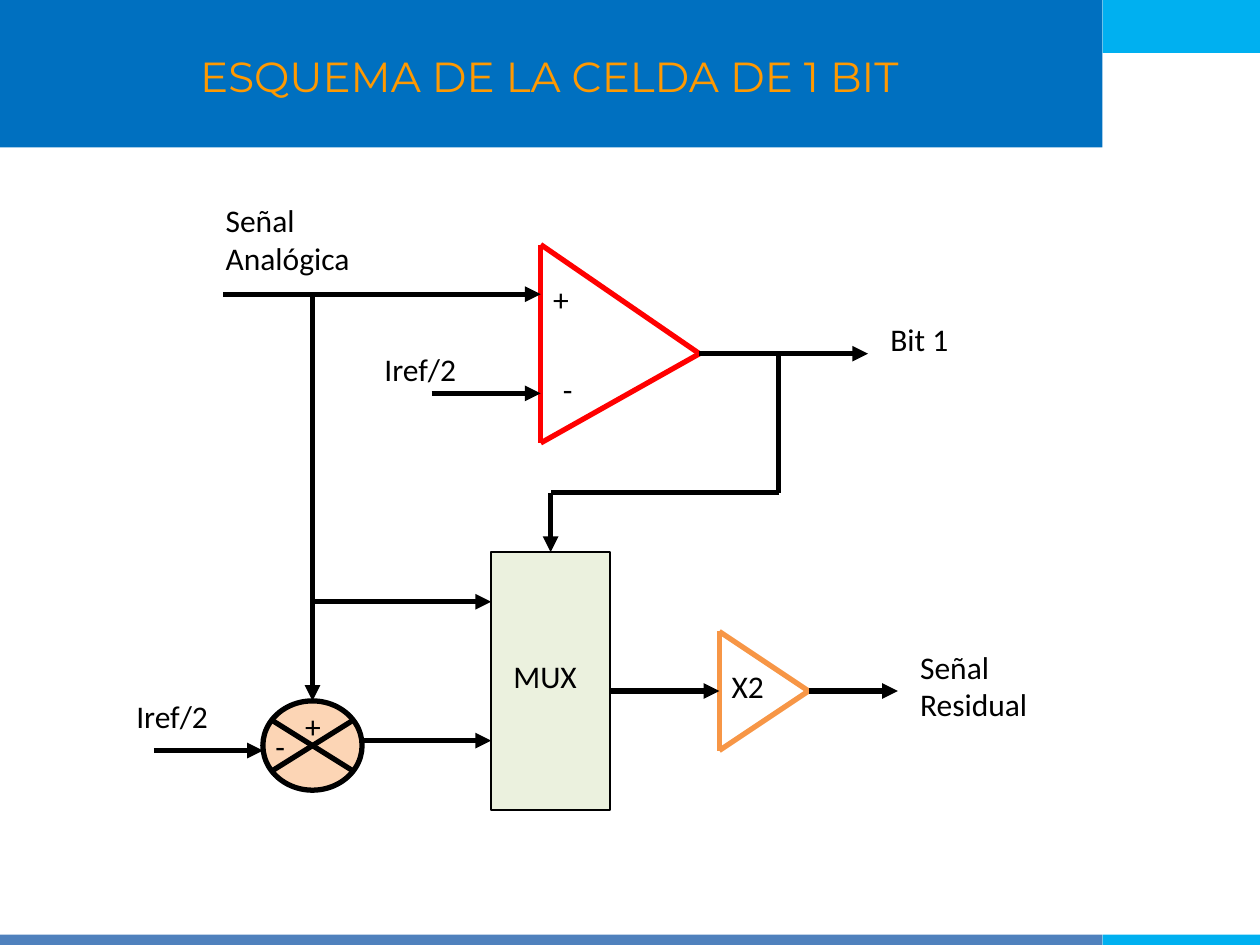
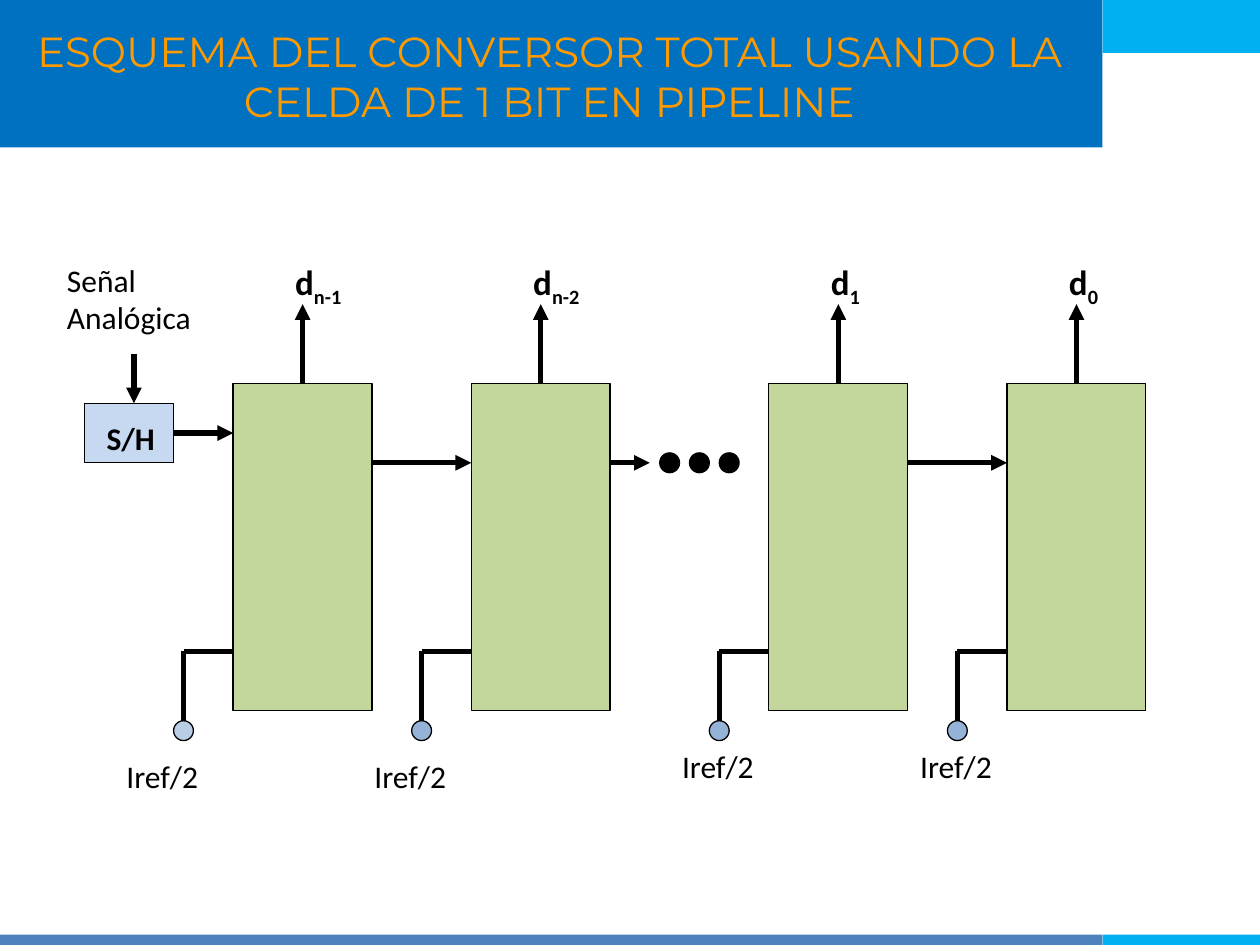
from itertools import pairwise

from lxml.etree import SubElement
from pptx import Presentation
from pptx.dml.color import RGBColor
from pptx.enum.shapes import MSO_CONNECTOR, MSO_SHAPE
from pptx.enum.text import MSO_ANCHOR, MSO_AUTO_SIZE, PP_ALIGN
from pptx.oxml.ns import qn
from pptx.util import Inches, Pt

COLORS = {
    "band": "0070C0",
    "accent": "00B0F0",
    "footer": "4F81BD",
    "title": "FF9900",
    "ink": "000000",
    "comparator": "FF0000",
    "gain": "F79646",
    "adder": "FCD5B5",
    "mux": "EBF1DE",
    "sampler": "C6D9F1",
    "cell": "C3D69B",
    "first_input": "B9CDE5",
    "input": "95B3D7",
}
WIDTH, HEIGHT = Inches(10), Inches(7.5)
UNIT = WIDTH / 127
LEFT_OFFSET, TOP_OFFSET = 0.5, 0.65
BANDS = [
    (0, 0, 0.875, 0.156, "band"),
    (0.875, 0, 0.125, 0.056, "accent"),
    (0, 0.989, 0.875, 0.011, "footer"),
    (0.875, 0.989, 0.125, 0.011, "accent"),
]


def color(name):
    return RGBColor.from_string(COLORS[name])


def share(left, top, width, height):
    return [int(part * side) for part, side in
            zip((left, top, width, height), (WIDTH, HEIGHT) * 2)]


def point(column, row):
    return int((column + LEFT_OFFSET) * UNIT), int((row + TOP_OFFSET) * UNIT)


def area(column, row, columns, rows):
    return *point(column, row), int(columns * UNIT), int(rows * UNIT)


class Diagram:
    def __init__(self, deck, title):
        self.page = deck.slides.add_slide(deck.slide_layouts[6])
        for *place, fill in BANDS:
            self.shape(MSO_SHAPE.RECTANGLE, share(*place), fill, line=0)
        box = self.text(share(0.011, 0.015, 0.85, 0.13), [title],
                        size=24, name="Montserrat", fill="title")
        box.text_frame.auto_size = MSO_AUTO_SIZE.NONE
        box.text_frame.vertical_anchor = MSO_ANCHOR.MIDDLE
        box.text_frame.paragraphs[0].alignment = PP_ALIGN.CENTER

    def shape(self, kind, place, fill, line=0.75):
        shape = self.page.shapes.add_shape(kind, *place)
        shape.shadow.inherit = False
        shape.fill.solid()
        shape.fill.fore_color.rgb = color(fill)
        if line:
            shape.line.color.rgb = color("ink")
            shape.line.width = Pt(line)
        else:
            shape.line.fill.background()

    def block(self, column, row, columns, rows, fill):
        self.shape(MSO_SHAPE.RECTANGLE, area(column, row, columns, rows), fill)

    def circle(self, column, row, columns, rows, fill, line=0.75):
        self.shape(MSO_SHAPE.OVAL, area(column, row, columns, rows), fill, line)

    def text(self, place, words, size=18, name="Calibri", fill="ink", bold=False):
        box = self.page.shapes.add_textbox(*place)
        box.text_frame.word_wrap = True
        box.text_frame.auto_size = MSO_AUTO_SIZE.SHAPE_TO_FIT_TEXT
        para = box.text_frame.paragraphs[0]
        for word in words:
            para.add_run().text = word
        for font in (para.font, *(span.font for span in para.runs)):
            font.size = Pt(size)
            font.name = name
            font.bold = bold
            font.color.rgb = color(fill)
        return box

    def label(self, column, row, words, columns=12, rows=5, bold=False):
        self.text(area(column, row, columns, rows), [words], bold=bold)

    def indexed(self, column, row, letter, index):
        box = self.text(area(column, row, 12, 5.5), [letter, index],
                        size=20, bold=True)
        subscript = box.text_frame.paragraphs[0].runs[1]
        subscript.font._element.set("baseline", "-25000")

    def wire(self, *stops, ink="ink", arrow=False):
        for start, end in pairwise(stops):
            line = self.page.shapes.add_connector(
                MSO_CONNECTOR.STRAIGHT, *point(*start), *point(*end))
            line.line.color.rgb = color(ink)
            line.line.width = Pt(3)
            SubElement(line._element.spPr, qn("a:effectLst"))
        if arrow:
            SubElement(line.line._get_or_add_ln(), qn("a:tailEnd"), type="triangle")

    def arrow(self, *stops):
        self.wire(*stops, arrow=True)

    def triangle(self, column, row, columns, rows, tip_row, ink):
        top, bottom = (column, row), (column, row + rows)
        self.wire(bottom, top, (column + columns, tip_row), bottom, ink=ink)


def draw_cell(deck):
    diagram = Diagram(deck, "ESQUEMA DE LA CELDA DE 1 BIT")

    diagram.triangle(54, 24, 16, 20, 35, "comparator")
    diagram.circle(26, 70, 10, 9, "adder", line=3)
    diagram.wire((27, 72), (35, 77))
    diagram.wire((27, 77), (35, 72))
    diagram.block(49, 55, 12, 26, "mux")
    diagram.triangle(72, 63, 9, 12, 69, "gain")

    for stops in [
        ((22, 29), (54, 29)),
        ((43, 39), (54, 39)),
        ((31, 29), (31, 70)),
        ((31, 60), (49, 60)),
        ((15, 75), (26, 75)),
        ((36, 74), (49, 74)),
        ((61, 69), (72, 69)),
        ((81, 69), (90, 69)),
        ((70, 35), (87, 35)),
        ((78, 35), (78, 49), (55, 49), (55, 55)),
    ]:
        diagram.arrow(*stops)

    for column, row, words, columns in [
        (21, 19, "Señal Analógica", 19),
        (54, 27, "+", 5),
        (55, 36, "-", 5),
        (37, 34, "Iref/2", 12),
        (29, 70, "+", 5),
        (26, 72, "-", 5),
        (12, 69, "Iref/2", 12),
        (50, 65, "MUX", 11),
        (72, 66, "X2", 7),
        (91, 64, "Señal Residual", 19),
        (88, 31, "Bit 1", 12),
    ]:
        diagram.label(column, row, words, columns)


def draw_pipeline(deck):
    diagram = Diagram(
        deck, "ESQUEMA DEL CONVERSOR TOTAL USANDO LA CELDA DE 1 BIT EN PIPELINE")

    diagram.label(5, 25, "Señal Analógica", 19)
    diagram.block(8, 40, 9, 6, "sampler")
    diagram.label(9, 41, "S/H", 9, bold=True)
    diagram.arrow((13, 35), (13, 40))
    diagram.arrow((17, 43), (23, 43))

    for cell, index, label_column, label_row, fill in [
        (23, "n-1", 11, 75, "first_input"),
        (47, "n-2", 36, 75, "input"),
        (77, "1", 67, 74, "input"),
        (101, "0", 91, 74, "input"),
    ]:
        diagram.block(cell, 38, 14, 33, "cell")
        diagram.arrow((cell + 7, 38), (cell + 7, 30))
        diagram.indexed(cell + 5, 25, "d", index)
        diagram.circle(cell - 6, 72, 2, 2, fill)
        diagram.wire((cell - 5, 72), (cell - 5, 65), (cell, 65))
        diagram.label(label_column, label_row, "Iref/2")

    for start, end in [(37, 47), (61, 65), (91, 101)]:
        diagram.arrow((start, 46), (end, 46))
    for column in range(66, 73, 3):
        diagram.circle(column, 45, 2, 2, "ink")


def main():
    deck = Presentation()
    deck.slide_width, deck.slide_height = WIDTH, HEIGHT
    draw_cell(deck)
    draw_pipeline(deck)
    deck.save("out.pptx")


if __name__ == "__main__":
    main()
